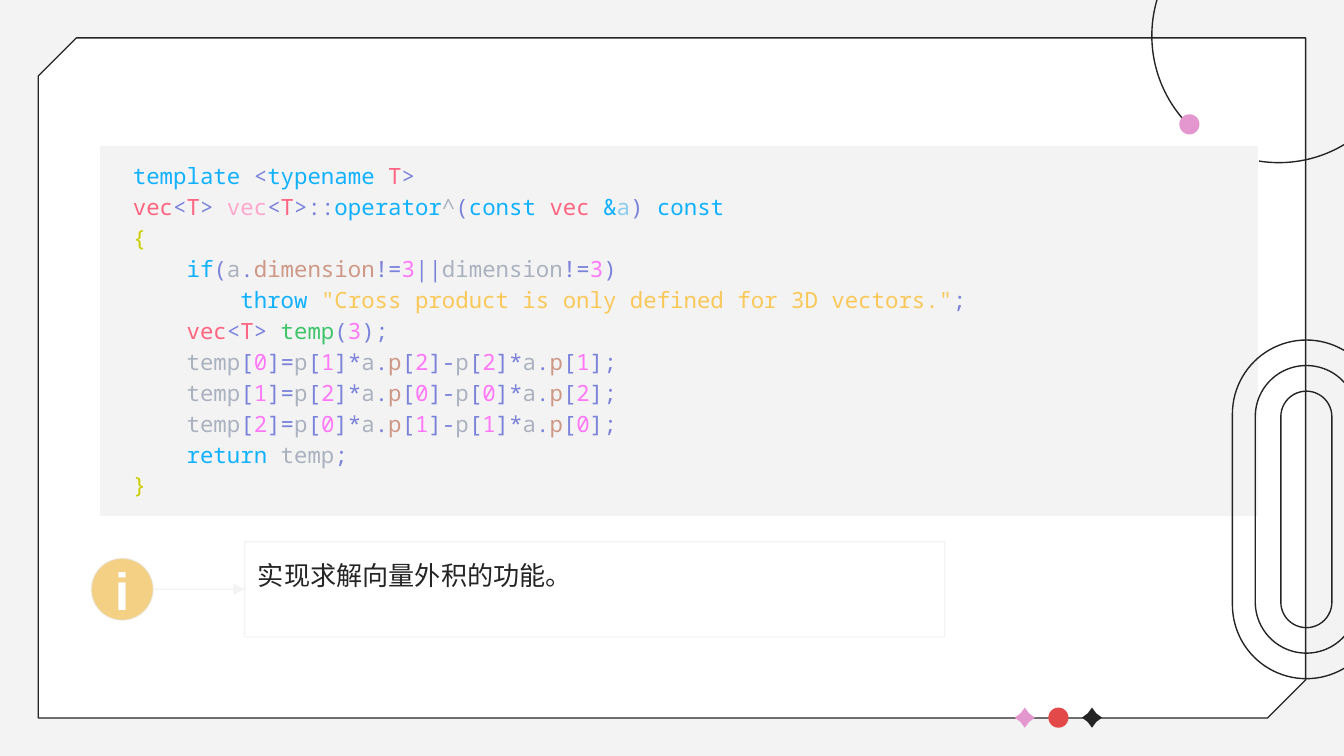
import dataclasses
import typing

import lxml.etree
import pptx
import pptx.dml.color
import pptx.enum.shapes
import pptx.enum.text
import pptx.oxml.ns
import pptx.util

RGBColor = pptx.dml.color.RGBColor
Kind = pptx.enum.shapes.MSO_SHAPE

PAPER = RGBColor(0xF3, 0xF3, 0xF3)
WHITE = RGBColor(0xFF, 0xFF, 0xFF)
INK = RGBColor(0x24, 0x24, 0x24)
PINK = RGBColor(0xE4, 0x96, 0xCE)
RED = RGBColor(0xE4, 0x49, 0x49)
AMBER = RGBColor(0xE8, 0xA3, 0x08)
PALE = RGBColor(0xE9, 0xE9, 0xE9)

KEYWORD = RGBColor(0x10, 0xB1, 0xFE)
MARK = RGBColor(0x7A, 0x82, 0xDA)
TYPE = RGBColor(0xFF, 0x64, 0x80)
SCOPE = RGBColor(0xFF, 0xA7, 0xCC)
NAME = RGBColor(0xAB, 0xB2, 0xBF)
ARGUMENT = RGBColor(0x8B, 0xCD, 0xEF)
BRACE = RGBColor(0xCC, 0xCC, 0x00)
FIELD = RGBColor(0xCE, 0x98, 0x87)
NUMBER = RGBColor(0xFF, 0x78, 0xF8)
STRING = RGBColor(0xF9, 0xC8, 0x59)
CALL = RGBColor(0x3F, 0xC5, 0x6B)

# The page is a grid of square cells, 100 columns wide.
CELL = pptx.util.Inches(0.1)
COLUMNS, ROWS = 100, 56.25
CODE_INDENT, CODE_STEP = 1.5, 4


class Span(typing.NamedTuple):
    text: str
    colour: RGBColor


class CodeLine(typing.NamedTuple):
    depth: int
    spans: list[Span]


@dataclasses.dataclass
class Figure:
    """A shape centred on a grid point, sized in grid cells."""
    kind: Kind
    column: float
    row: float
    width: float
    height: float
    fill: RGBColor | None = None
    line: RGBColor | None = None
    weight: float = 0.75
    rotation: float = 0
    adjustments: tuple[float, ...] = ()


def cells(count: float) -> int:
    return round(count * CELL)


def draw(page, figure: Figure):
    shape = page.shapes.add_shape(
        figure.kind,
        cells(figure.column - figure.width / 2), cells(figure.row - figure.height / 2),
        cells(figure.width), cells(figure.height))
    shape.shadow.inherit = False
    shape.rotation = figure.rotation
    for index, value in enumerate(figure.adjustments):
        shape.adjustments[index] = value
    for paint, colour in ((shape.fill, figure.fill), (shape.line.fill, figure.line)):
        if colour is None:
            paint.background()
        else:
            paint.solid()
            paint.fore_color.rgb = colour
    if figure.line is not None:
        shape.line.width = pptx.util.Pt(figure.weight)
    return shape


def fade(shape) -> None:
    """Make the fill and line half transparent."""
    for colour in list(shape.element.spPr.iter(pptx.oxml.ns.qn("a:srgbClr"))):
        lxml.etree.SubElement(colour, pptx.oxml.ns.qn("a:alpha"), val="50000")


def add_arrowhead(shape) -> None:
    outline = shape.element.spPr.get_or_add_ln()
    lxml.etree.SubElement(outline, pptx.oxml.ns.qn("a:tailEnd"), type="triangle")


def prepare_text(shape, anchor):
    frame = shape.text_frame
    frame.word_wrap = True
    frame.vertical_anchor = anchor
    frame.margin_left = frame.margin_right = frame.margin_top = frame.margin_bottom = CELL
    return frame


def add_span(para, span: Span, font: str, size: float, bold: bool = False) -> None:
    run = para.add_run()
    run.text = span.text
    run.font.name = font
    run.font.size = pptx.util.Pt(size)
    run.font.bold = bold
    run.font.color.rgb = span.colour
    properties = run._r.get_or_add_rPr()
    for tag in ("a:ea", "a:cs"):
        lxml.etree.SubElement(properties, pptx.oxml.ns.qn(tag), typeface=font)


def item(name: str, index: int, colour: RGBColor = NAME) -> list[Span]:
    return [Span(name, colour), Span("[", MARK), Span(str(index), NUMBER)]


def component(index: int) -> CodeLine:
    """One component of the cross product, from the other two indices."""
    following, last = (index + 1) % 3, (index + 2) % 3
    spans = item("temp", index) + [Span("]=", MARK)]
    for first, second, end in ((following, last, "]-"), (last, following, "];")):
        spans += item("p", first) + [Span("]*", MARK), Span("a", NAME), Span(".", MARK)]
        spans += item("p", second, FIELD) + [Span(end, MARK)]
    return CodeLine(1, spans)


VEC_T = [Span("vec", TYPE), Span("<", MARK), Span("T", TYPE), Span("> ", MARK)]
CODE = [
    CodeLine(0, [Span("template ", KEYWORD), Span("<", MARK), Span("typename ", KEYWORD),
                 Span("T", TYPE), Span(">", MARK)]),
    CodeLine(0, VEC_T + [
        Span("vec", SCOPE), Span("<", MARK), Span("T", TYPE), Span(">::", MARK),
        Span("operator", KEYWORD), Span("^", NAME), Span("(", MARK), Span("const ", KEYWORD),
        Span("vec ", TYPE), Span("&", KEYWORD), Span("a", ARGUMENT), Span(") ", MARK),
        Span("const", KEYWORD)]),
    CodeLine(0, [Span("{", BRACE)]),
    CodeLine(1, [Span("if", KEYWORD), Span("(", MARK), Span("a", NAME), Span(".", MARK),
                 Span("dimension", FIELD), Span("!=", MARK), Span("3", NUMBER),
                 Span("||", MARK), Span("dimension", NAME), Span("!=", MARK),
                 Span("3", NUMBER), Span(")", MARK)]),
    CodeLine(2, [Span("throw ", KEYWORD),
                 Span('"Cross product is only defined for 3D vectors."', STRING),
                 Span(";", MARK)]),
    CodeLine(1, VEC_T + [Span("temp", CALL), Span("(", MARK), Span("3", NUMBER),
                         Span(");", MARK)]),
    *[component(index) for index in range(3)],
    CodeLine(1, [Span("return", KEYWORD), Span(" temp", NAME), Span(";", MARK)]),
    CodeLine(0, [Span("}", BRACE)]),
]


def draw_frame(page) -> None:
    draw(page, Figure(Kind.SNIP_2_DIAG_RECTANGLE, COLUMNS / 2, ROWS / 2, 94.3, 50.6,
                      WHITE, INK, adjustments=(0.056, 0)))
    beads = ((Kind.STAR_4_POINT, PINK), (Kind.OVAL, RED), (Kind.STAR_4_POINT, INK))
    for index, (kind, colour) in enumerate(beads):
        shares = (0.3,) if kind == Kind.STAR_4_POINT else ()
        draw(page, Figure(kind, 76.25 + 2.5 * index, 53.4, 1.5, 1.5, colour, adjustments=shares))
    arc = draw(page, Figure(Kind.ARC, 95.15, 2.65, 18.9, 18.9, line=INK, rotation=225,
                            adjustments=(162, 150.08)))
    add_arrowhead(arc)
    draw(page, Figure(Kind.OVAL, 88.5, 9.25, 1.5, 1.5, PINK, rotation=315))


def draw_code(page) -> None:
    panel = draw(page, Figure(Kind.RECTANGLE, 50.5, 24.6, 86.2, 27.6, PAPER, WHITE, 0.25))
    frame = prepare_text(panel, pptx.enum.text.MSO_ANCHOR.TOP)
    for index, line in enumerate(CODE):
        para = frame.add_paragraph() if index else frame.paragraphs[0]
        para.alignment = pptx.enum.text.PP_ALIGN.LEFT
        para.line_spacing = 1.15
        indent = cells(CODE_INDENT + CODE_STEP * line.depth)
        para._p.get_or_add_pPr().set("marL", str(indent))
        for span in line.spans:
            add_span(para, span, "Noto Sans Mono", 12)


def draw_note(page) -> None:
    row = 43.85
    box = draw(page, Figure(Kind.RECTANGLE, 44.25, row, 52.1, 7.1, line=PALE))
    para = prepare_text(box, pptx.enum.text.MSO_ANCHOR.TOP).paragraphs[0]
    para.alignment = pptx.enum.text.PP_ALIGN.LEFT
    para.line_spacing = 1.15
    add_span(para, Span("实现求解向量外积的功能。", INK), "Lato", 14)

    badge = draw(page, Figure(Kind.OVAL, 9.1, row, 4.6, 4.6, AMBER, PALE))
    para = prepare_text(badge, pptx.enum.text.MSO_ANCHOR.MIDDLE).paragraphs[0]
    para.alignment = pptx.enum.text.PP_ALIGN.CENTER
    add_span(para, Span("i", WHITE), "Arial", 28, bold=True)

    arrow = page.shapes.add_connector(
        pptx.enum.shapes.MSO_CONNECTOR.STRAIGHT,
        badge.left + badge.width, cells(row), box.left, cells(row))
    arrow.end_connect(box, 1)
    arrow.line.color.rgb = PALE
    arrow.line.width = pptx.util.Pt(0.75)
    add_arrowhead(arrow)
    lxml.etree.SubElement(arrow.element.spPr, pptx.oxml.ns.qn("a:effectLst"))
    for shape in (box, badge, arrow):
        fade(shape)


def main() -> None:
    deck = pptx.Presentation()
    deck.slide_width, deck.slide_height = cells(COLUMNS), cells(ROWS)
    page = deck.slides.add_slide(deck.slide_layouts.get_by_name("Blank"))
    page.background.fill.solid()
    page.background.fill.fore_color.rgb = PAPER
    draw_frame(page)
    draw_code(page)
    for length, thickness in ((25.2, 11), (21.4, 7.6), (17.6, 3.8)):
        draw(page, Figure(Kind.ROUNDED_RECTANGLE, 97.2, 37.9, length, thickness,
                          line=INK, rotation=270, adjustments=(0.5,)))
    draw_note(page)
    deck.save("out.pptx")


if __name__ == "__main__":
    main()
